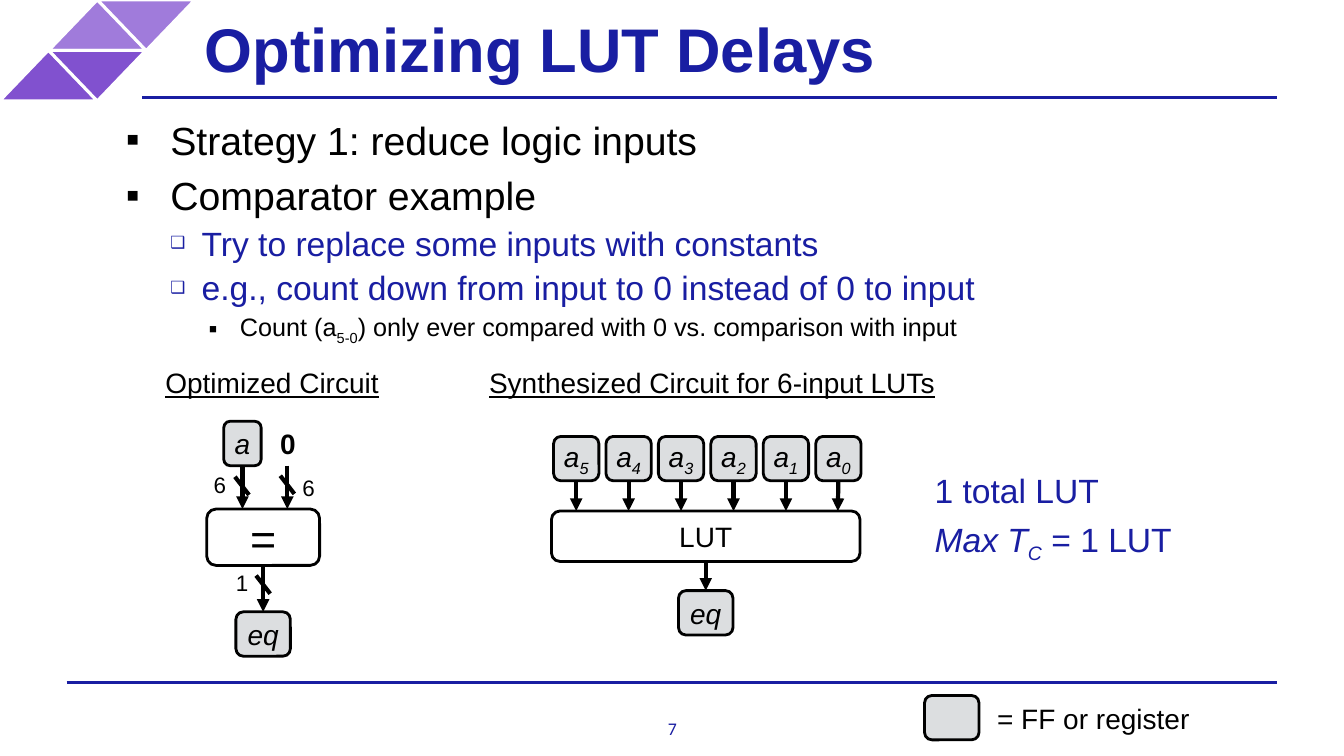
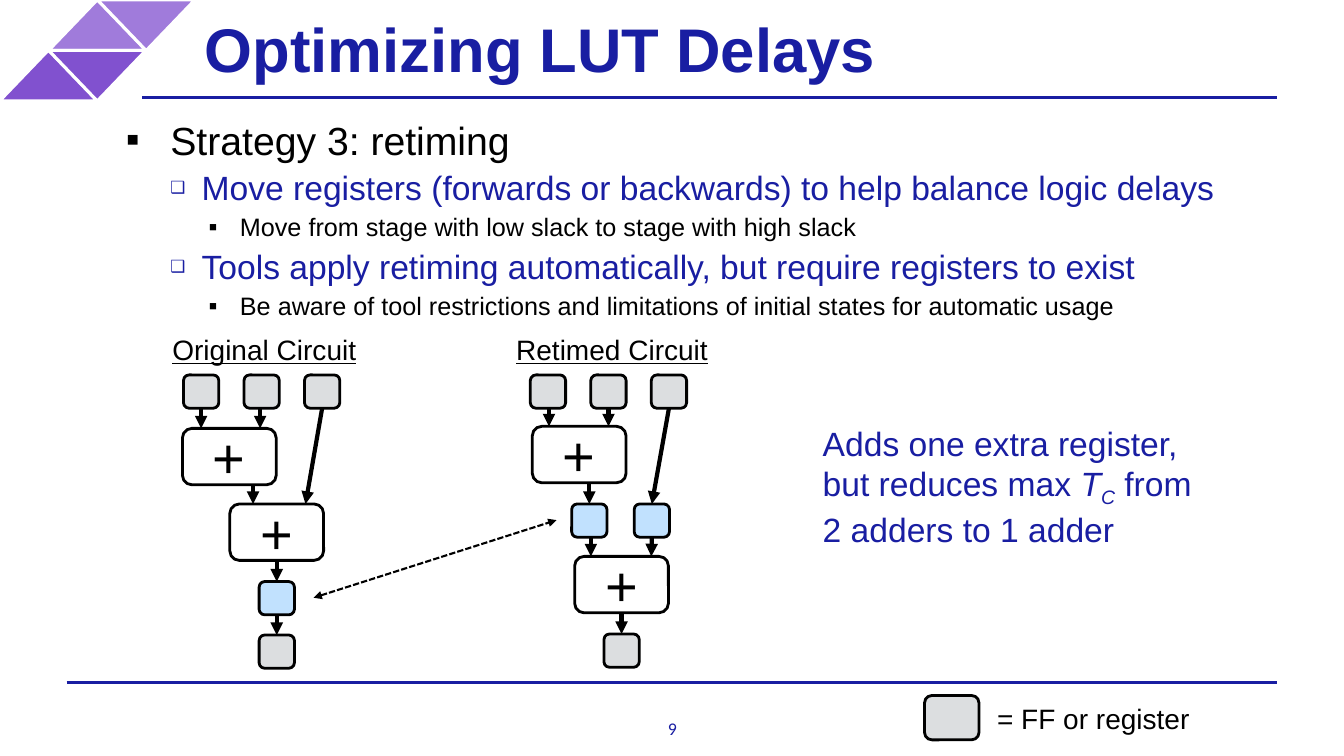
import dataclasses

import pptx
import pptx.dml.color
import pptx.enum.dml
import pptx.enum.shapes
import pptx.enum.text
import pptx.oxml.ns
import pptx.util
from lxml import etree
from pptx.util import Inches


@dataclasses.dataclass(frozen=True)
class Theme:
    font: str = "Arial"
    number_font: str = "Calibri"
    blue: str = "191EA2"
    black: str = "000000"
    white: str = "FFFFFF"
    light_purple: str = "A07BDB"
    dark_purple: str = "8151CF"
    register: str = "DCDEE0"
    moved_register: str = "C1E1FE"
    title: float = 44
    number: float = 12.7
    operator: float = 40
    equals: float = 32
    note: float = 24
    label: float = 20
    bus: float = 16


@dataclasses.dataclass(frozen=True)
class BulletLevel:
    symbol: str
    size: float
    color: str
    margin: float
    hanging: float
    space: float
    percent: int = 100


THEME = Theme()
LEVELS = (
    BulletLevel("▪", 28, THEME.black, 0.5, 0.44, 6),
    BulletLevel("❑", 24, THEME.blue, 0.81, 0.31, 3, 50),
    BulletLevel("▪", 18, THEME.black, 1.19, 0.31, 3),
)
SHAPES = pptx.enum.shapes.MSO_SHAPE
ALIGN = pptx.enum.text.PP_ALIGN
ANCHOR = pptx.enum.text.MSO_ANCHOR
BOTTOM, TOP = 2, 0


def rgb(color):
    return pptx.dml.color.RGBColor.from_string(color)


def add_xml(parent, tag, **attributes):
    return etree.SubElement(parent, pptx.oxml.ns.qn(tag), attributes)


def write(paragraph, runs, size, color=THEME.black, font=THEME.font):
    for item in [runs] if isinstance(runs, str) else runs:
        text, *marks = [item] if isinstance(item, str) else item
        if text == "\n":
            paragraph.add_line_break()
            continue
        run = paragraph.add_run()
        run.text = text
        run.font.name = font
        run.font.size = pptx.util.Pt(size)
        run.font.color.rgb = rgb(color)
        run.font.bold = "bold" in marks
        run.font.italic = "italic" in marks
        run.font.underline = "underline" in marks
        if "sub" in marks:
            run._r.get_or_add_rPr().set("baseline", "-25000")


def set_frame(frame, inset=0.06, anchor=ANCHOR.MIDDLE, wrap=True):
    frame.margin_left = frame.margin_right = Inches(inset)
    frame.margin_top = frame.margin_bottom = Inches(inset)
    frame.vertical_anchor = anchor
    frame.word_wrap = wrap


def add_text(slide, box, paragraphs, size, color=THEME.black, space=0):
    frame = slide.shapes.add_textbox(*map(Inches, box)).text_frame
    set_frame(frame)
    for index, runs in enumerate(paragraphs):
        paragraph = frame.add_paragraph() if index else frame.paragraphs[0]
        paragraph.space_before = pptx.util.Pt(space)
        write(paragraph, runs, size, color)


def add_heading(slide, left, top, width, text):
    add_text(slide, (left, top, width, 0.45), [[(text, "underline")]], THEME.label)


def add_bullets(slide, height, items):
    frame = slide.shapes.add_textbox(*map(Inches, (1.19, 1.15, 11.36, height))).text_frame
    set_frame(frame, 0, ANCHOR.TOP)
    for index, (depth, runs) in enumerate(items):
        level = LEVELS[depth]
        paragraph = frame.add_paragraph() if index else frame.paragraphs[0]
        paragraph.level = depth
        paragraph.space_before = pptx.util.Pt(level.space)
        properties = paragraph._p.get_or_add_pPr()
        properties.set("marL", str(Inches(level.margin)))
        properties.set("indent", str(-Inches(level.hanging)))
        add_xml(properties, "a:buSzPct", val=str(level.percent * 1000))
        add_xml(properties, "a:buFont", typeface=THEME.font)
        add_xml(properties, "a:buChar", char=level.symbol)
        write(paragraph, runs, level.size, level.color)


def add_filled(shapes, kind, box, fill, outline):
    shape = shapes.add_shape(kind, *map(Inches, box))
    shape.shadow.inherit = False
    shape.fill.solid()
    shape.fill.fore_color.rgb = rgb(fill)
    shape.line.color.rgb = rgb(outline)
    shape.line.width = pptx.util.Pt(2)
    return shape


def add_node(slide, box, fill=THEME.register, runs="", size=THEME.label):
    node = add_filled(slide.shapes, SHAPES.ROUNDED_RECTANGLE, box, fill, THEME.black)
    set_frame(node.text_frame)
    if runs:
        paragraph = node.text_frame.paragraphs[0]
        paragraph.alignment = ALIGN.CENTER
        write(paragraph, runs, size)
    return node


def add_register(slide, left, top, fill=THEME.register):
    return add_node(slide, (left, top, 0.35, 0.33), fill)


def add_adder(slide, left, top):
    return add_node(slide, (left, top, 0.93, 0.56), THEME.white, "+", THEME.operator)


def add_output(slide, left, top):
    return add_node(slide, (left, top, 0.54, 0.44), runs=[("eq", "italic")])


def add_line(slide, start, end, color=THEME.black, width=3, dash=None, arrows=()):
    line = slide.shapes.add_connector(
        pptx.enum.shapes.MSO_CONNECTOR.STRAIGHT, *map(int, (*start, *end)))
    line.line.color.rgb = rgb(color)
    line.line.width = pptx.util.Pt(width)
    if dash:
        line.line.dash_style = dash
    properties = line.line._get_or_add_ln()
    for tag in arrows:
        add_xml(properties, tag, type="triangle")
    add_xml(properties.getparent(), "a:effectLst")
    return line


def point(left, top):
    return Inches(left), Inches(top)


def add_arrow(slide, start, end):
    return add_line(slide, start, end, arrows=["a:tailEnd"])


def center(shape):
    return shape.left + shape.width // 2


def feed(slide, source, target):
    left = max(source.left, target.left)
    right = min(source.left + source.width, target.left + target.width)
    middle = (left + right) // 2
    arrow = add_arrow(slide, (middle, source.top + source.height), (middle, target.top))
    if abs(middle - center(source)) < Inches(0.01):
        arrow.begin_connect(source, BOTTOM)
    if abs(middle - center(target)) < Inches(0.01):
        arrow.end_connect(target, TOP)


def add_bus_mark(slide, x, y, label_left, label_top, width):
    add_line(slide, point(x - 0.07, y - 0.09), point(x + 0.07, y + 0.09))
    add_text(slide, (label_left, label_top, 0.37, 0.38), [width], THEME.bus)


def dress_layout(layout, slide):
    for placeholder in list(layout.placeholders):
        if placeholder.placeholder_format.type != pptx.enum.shapes.PP_PLACEHOLDER.TITLE:
            placeholder.element.getparent().remove(placeholder.element)
    rules = [add_line(slide, point(left, top), point(12.67, top), THEME.blue, 2)
             for left, top in ((0.66, 6.77), (1.41, 0.97))]
    band = slide.shapes.add_group_shape()
    for row, color in enumerate((THEME.light_purple, THEME.dark_purple)):
        for column, rotation in enumerate((0, 180)):
            left = 0.485 * (1 - row + column)
            triangle = add_filled(band.shapes, SHAPES.ISOSCELES_TRIANGLE,
                                  (left, 0.5 * row, 0.96, 0.5), color, THEME.white)
            triangle.rotation = rotation
    for shape in (*rules, band):
        layout.shapes.element.append(shape.element)


def add_title(slide, text):
    title = slide.shapes.title
    title.left, title.top, title.width, title.height = map(Inches, (1.89, 0, 10.08, 0.95))
    set_frame(title.text_frame, 0.14)
    paragraph = title.text_frame.paragraphs[0]
    paragraph.alignment = ALIGN.LEFT
    write(paragraph, [(text, "bold")], THEME.title, THEME.blue)


def add_footer(slide, number):
    frame = slide.shapes.add_textbox(*map(Inches, (6.62, 7.12, 0.1, 0.21))).text_frame
    set_frame(frame, 0, ANCHOR.TOP, False)
    frame.paragraphs[0].alignment = ALIGN.CENTER
    write(frame.paragraphs[0], number, THEME.number, THEME.blue, THEME.number_font)
    add_node(slide, (9.17, 6.9, 0.54, 0.44))
    add_text(slide, (9.83, 6.9, 2.36, 0.45), ["= FF or register"], THEME.label)


def draw_comparator(slide):
    add_heading(slide, 1.58, 3.57, 2.35, "Optimized Circuit")
    count = add_node(slide, (2.22, 4.18, 0.37, 0.44), runs=[("a", "italic")])
    add_text(slide, (2.72, 4.17, 0.37, 0.45), [[("0", "bold")]], THEME.label)
    equals = add_node(slide, (2.05, 5.05, 1.12, 0.56), THEME.white, "=", THEME.equals)
    output = add_output(slide, 2.34, 6.07)
    feed(slide, count, equals)
    add_arrow(slide, point(2.85, 4.62), point(2.85, 5.05))
    feed(slide, equals, output)
    add_bus_mark(slide, 2.4, 4.82, 2.06, 4.62, "6")
    add_bus_mark(slide, 2.85, 4.81, 2.94, 4.65, "6")
    add_bus_mark(slide, 2.61, 5.8, 2.28, 5.59, "1")


def draw_lookup_table(slide):
    add_heading(slide, 4.79, 3.57, 4.65, "Synthesized Circuit for 6-input LUTs")
    table = add_node(slide, (5.47, 5.07, 3.06, 0.5), THEME.white, "LUT")
    for index in range(6):
        runs = [("a", "italic"), (str(5 - index), "italic", "sub")]
        bit = add_node(slide, (5.49 + 0.52 * index, 4.33, 0.45, 0.44), runs=runs)
        feed(slide, bit, table)
    feed(slide, table, add_output(slide, 6.73, 5.86))


def add_inputs(slide, left):
    return [add_register(slide, left + 0.6 * index, 3.72) for index in range(3)]


def draw_original_circuit(slide):
    add_heading(slide, 1.65, 3.24, 1.97, "Original Circuit")
    first, second, third = add_inputs(slide, 1.82)
    upper = add_adder(slide, 1.81, 4.25)
    lower = add_adder(slide, 2.28, 5)
    moved = add_register(slide, 2.57, 5.77, THEME.moved_register)
    result = add_register(slide, 2.57, 6.3)
    for source, target in ((first, upper), (second, upper), (upper, lower),
                           (lower, moved), (moved, result)):
        feed(slide, source, target)
    add_arrow(slide, point(3.2, 4.05), point(3.03, 5)).begin_connect(third, BOTTOM)


def draw_retimed_circuit(slide):
    add_heading(slide, 5.06, 3.24, 2.26, "Retimed Circuit")
    first, second, third = add_inputs(slide, 5.26)
    upper = add_adder(slide, 5.28, 4.23)
    moved, extra = [add_register(slide, left, 5, THEME.moved_register)
                    for left in (5.67, 6.29)]
    lower = add_adder(slide, 5.7, 5.52)
    result = add_register(slide, 5.99, 6.29)
    for source, target in ((first, upper), (second, upper), (upper, moved),
                           (moved, lower), (extra, lower), (lower, result)):
        feed(slide, source, target)
    bypass = add_arrow(slide, point(6.63, 4.05), point(6.47, 5))
    bypass.begin_connect(third, BOTTOM)
    bypass.end_connect(extra, TOP)


def build_inputs_slide(slide):
    add_bullets(slide, 2.43, [
        (0, "Strategy 1: reduce logic inputs"),
        (0, "Comparator example"),
        (1, "Try to replace some inputs with constants"),
        (1, "e.g., count down from input to 0 instead of 0 to input"),
        (2, ["Count (a", ("5-0", "sub"),
             ") only ever compared with 0 vs. comparison with input"]),
    ])
    draw_comparator(slide)
    draw_lookup_table(slide)
    add_text(slide, (9.21, 4.18, 3.2, 1.9), [
        "1 total LUT",
        [("Max T", "italic"), ("C", "italic", "sub"), " = 1 LUT"],
    ], THEME.note, THEME.blue, 6)


def build_retiming_slide(slide):
    add_bullets(slide, 2.1, [
        (0, "Strategy 3: retiming"),
        (1, "Move registers (forwards or backwards) to help balance logic delays"),
        (2, "Move from stage with low slack to stage with high slack"),
        (1, "Tools apply retiming automatically, but require registers to exist"),
        (2, "Be aware of tool restrictions and limitations of initial states "
            "for automatic usage"),
    ])
    draw_original_circuit(slide)
    draw_retimed_circuit(slide)
    add_line(slide, point(3.11, 5.93), point(5.52, 5.16), width=1.5,
             dash=pptx.enum.dml.MSO_LINE.SQUARE_DOT, arrows=["a:headEnd", "a:tailEnd"])
    add_text(slide, (8.1, 3.87, 4.55, 1.9), [[
        "Adds one extra register,", "\n", "but reduces max ", ("T", "italic"),
        ("C", "italic", "sub"), " from", "\n", "2 adders to 1 adder",
    ]], THEME.note, THEME.blue, 6)


def main():
    presentation = pptx.Presentation()
    presentation.slide_width, presentation.slide_height = Inches(13.33), Inches(7.5)
    layout = presentation.slide_layouts.get_by_name("Title Only")
    pages = (("7", build_inputs_slide), ("9", build_retiming_slide))
    for index, (number, build) in enumerate(pages):
        slide = presentation.slides.add_slide(layout)
        if index == 0:
            dress_layout(layout, slide)
        add_title(slide, "Optimizing LUT Delays")
        build(slide)
        add_footer(slide, number)
    presentation.save("out.pptx")


if __name__ == "__main__":
    main()
